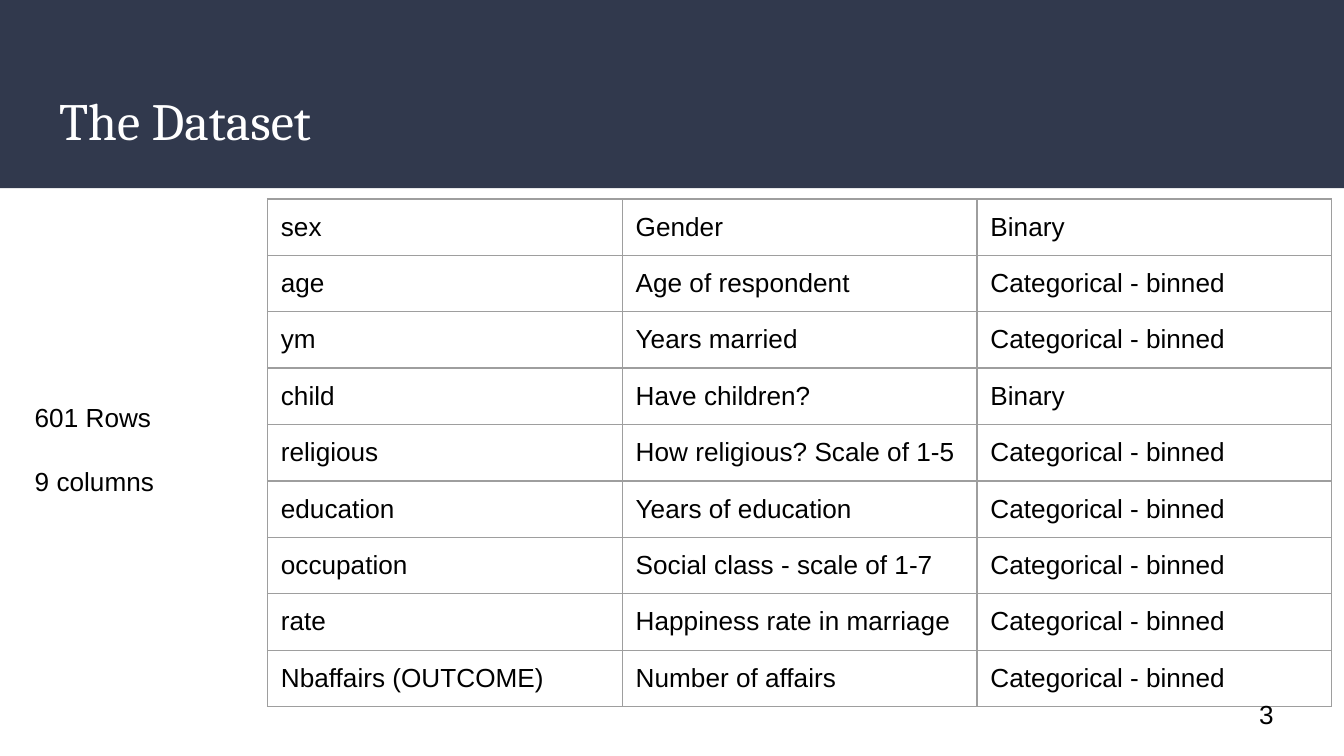
from dataclasses import dataclass

from lxml import etree
from pptx import Presentation
from pptx import util as u
from pptx.dml.color import RGBColor
from pptx.enum import shapes, text
from pptx.oxml import ns

# Content
TITLE = "The Dataset"
SIZE_NOTES = ["601 Rows", "9 columns"]
PAGE_NUMBER = "3"
BINNED = "Categorical - binned"
VARIABLES = [
    ("sex", "Gender", "Binary"),
    ("age", "Age of respondent", BINNED),
    ("ym", "Years married", BINNED),
    ("child", "Have children?", "Binary"),
    ("religious", "How religious? Scale of 1-5", BINNED),
    ("education", "Years of education", BINNED),
    ("occupation", "Social class - scale of 1-7", BINNED),
    ("rate", "Happiness rate in marriage", BINNED),
    ("Nbaffairs (OUTCOME)", "Number of affairs", BINNED),
]


@dataclass(frozen=True)
class Theme:
    band: str = "31394D"
    light: str = "FFFFFF"
    ink: str = "000000"
    rule: str = "9E9E9E"
    head_font: str = "Cambria"
    body_font: str = "Arial"
    head_size: int = 28
    body_size: int = 14
    rule_width: float = 0.75


THEME = Theme()

# Layout, in inches, on a 16:9 slide
WIDTH = 10
HEIGHT = WIDTH * 9 / 16
BAND_HEIGHT = WIDTH * 0.14
INSET = 0.1
SIDES = ("left", "top", "right", "bottom")
COLUMN, ROW = 2.64, 0.42
TITLE_BOX = (0.34, 0.55, WIDTH - 2 * 0.34, 0.68)
NOTES_BOX = (0.16, 2.89, 1.72, 1.04)
NUMBER_BOX = (9.27, 5.1, 0.6, 0.43)
TABLE_BOX = (1.99, 1.48, COLUMN * len(VARIABLES[0]), ROW * len(VARIABLES))


def inches(box):
    return [u.Inches(length) for length in box]


def set_margins(holder):
    for side in SIDES:
        setattr(holder, f"margin_{side}", u.Inches(INSET))


def add_span(para, words, font=THEME.body_font, size=THEME.body_size, color=THEME.ink):
    para.alignment = text.PP_ALIGN.LEFT
    span = para.add_run()
    span.text = words
    span.font.name = font
    span.font.size = u.Pt(size)
    span.font.color.rgb = RGBColor.from_string(color)


def set_frame(frame, anchor):
    frame.word_wrap = True
    frame.auto_size = text.MSO_AUTO_SIZE.NONE
    frame.vertical_anchor = anchor
    set_margins(frame)


def add_text_box(page, box, lines, anchor, gap=0):
    frame = page.shapes.add_textbox(*inches(box)).text_frame
    set_frame(frame, anchor)
    for index, line in enumerate(lines):
        para = frame.add_paragraph() if index else frame.paragraphs[0]
        para.space_before = u.Pt(gap if index else 0)
        add_span(para, line)


def add_borders(cell):
    properties = cell._tc.get_or_add_tcPr()
    for position, edge in enumerate(("lnL", "lnR", "lnT", "lnB")):
        line = etree.Element(ns.qn(f"a:{edge}"), w=str(u.Pt(THEME.rule_width)))
        fill = etree.SubElement(line, ns.qn("a:solidFill"))
        etree.SubElement(fill, ns.qn("a:srgbClr"), val=THEME.rule)
        properties.insert(position, line)


def add_variable_table(page):
    table = page.shapes.add_table(
        len(VARIABLES), len(VARIABLES[0]), *inches(TABLE_BOX)).table
    table.first_row = table.horz_banding = False
    for column in table.columns:
        column.width = u.Inches(COLUMN)
    for row, values in zip(table.rows, VARIABLES):
        row.height = u.Inches(ROW)
        for cell, value in zip(row.cells, values):
            set_margins(cell)
            cell.fill.background()
            add_borders(cell)
            add_span(cell.text_frame.paragraphs[0], value)


def main():
    deck = Presentation()
    deck.slide_width, deck.slide_height = inches((WIDTH, HEIGHT))
    page = deck.slides.add_slide(deck.slide_layouts.get_by_name("Title Only"))

    # Header band, behind the title
    band = page.shapes.add_shape(
        shapes.MSO_SHAPE.RECTANGLE, *inches((0, 0, WIDTH, BAND_HEIGHT)))
    band.shadow.inherit = False
    band.fill.solid()
    band.fill.fore_color.rgb = RGBColor.from_string(THEME.band)
    band.line.fill.background()
    title = page.shapes.title
    band._element.addnext(title._element)

    # Title
    title.left, title.top, title.width, title.height = inches(TITLE_BOX)
    set_frame(title.text_frame, text.MSO_ANCHOR.MIDDLE)
    add_span(title.text_frame.paragraphs[0], TITLE,
             THEME.head_font, THEME.head_size, THEME.light)

    # Dataset size, variables and page number
    add_text_box(page, NOTES_BOX, SIZE_NOTES, text.MSO_ANCHOR.TOP, gap=17)
    add_variable_table(page)
    add_text_box(page, NUMBER_BOX, [PAGE_NUMBER], text.MSO_ANCHOR.MIDDLE)

    deck.save("out.pptx")


if __name__ == "__main__":
    main()
